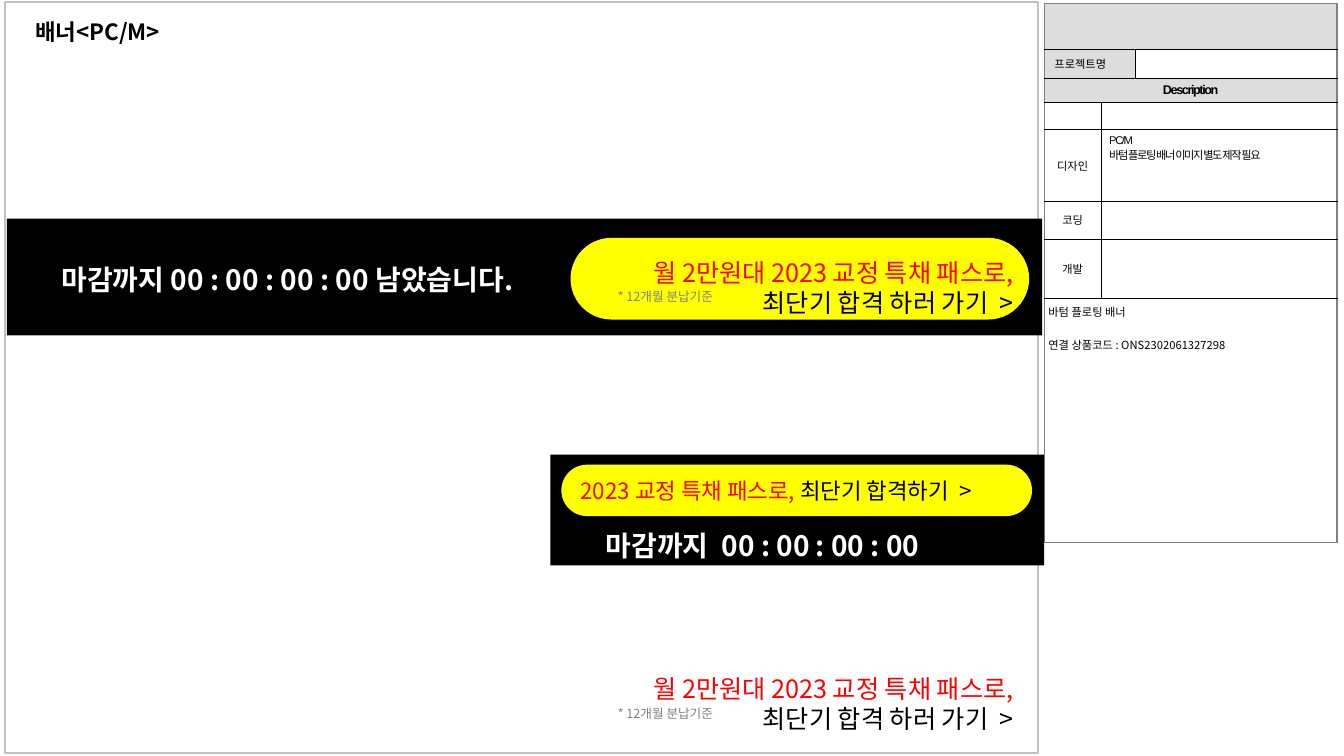
from lxml.etree import SubElement
from pptx import Presentation
from pptx.dml.color import RGBColor
from pptx.enum.shapes import MSO_SHAPE as SHAPE
from pptx.enum.text import MSO_ANCHOR as ANCHOR, MSO_AUTO_SIZE as AUTO, PP_ALIGN as ALIGN
from pptx.oxml.ns import qn
from pptx.util import Pt

COLORS = {
    "black": "000000", "white": "FFFFFF", "yellow": "FFFF00", "red": "FF0000",
    "gray": "808080", "frame": "C0C0C0", "header": "DDDDDD",
}
NOTO = "Noto Sans CJK KR"
COL_WIDTHS = [40.5, 24.5, 144]
ROW_HEIGHTS = [33, 20.5, 17.2, 19.3, 51.5, 27, 42.2, 174.6]


def rgb(name):
    return RGBColor.from_string(COLORS[name])


def add_run(p, text, size=8, color="black", bold=False, font=NOTO, spacing=0):
    r = p.add_run()
    r.text = text
    r.font.size, r.font.bold, r.font.name = Pt(size), bold, font
    r.font.color.rgb = rgb(color)
    rPr = r.font._element
    SubElement(rPr, qn("a:ea")).set("typeface", NOTO)
    if spacing:
        rPr.set("spc", str(spacing * 100))


def write(tf, lines, align=ALIGN.LEFT, gap=0, **fmt):
    """Each line is a string or a list of (text, color) runs."""
    for i, line in enumerate(lines):
        p = tf.paragraphs[0] if i == 0 else tf.add_paragraph()
        p.alignment = align
        if i and gap:
            p.space_before = Pt(gap)
        runs = [(line, fmt.get("color", "black"))] if isinstance(line, str) else line
        for text, color in runs:
            add_run(p, text, **{**fmt, "color": color})


def add_text(s, box, lines, wrap=False, **fmt):
    tf = s.shapes.add_textbox(*map(Pt, box)).text_frame
    tf.word_wrap = wrap
    tf.auto_size = AUTO.SHAPE_TO_FIT_TEXT
    write(tf, lines, **fmt)


def add_block(s, box, fill=None, line=None, kind=SHAPE.RECTANGLE):
    sp = s.shapes.add_shape(kind, *map(Pt, box))
    sp.shadow.inherit = False
    if kind == SHAPE.ROUNDED_RECTANGLE:
        sp.adjustments[0] = 0.5
    if fill:
        sp.fill.solid()
        sp.fill.fore_color.rgb = rgb(fill)
    else:
        sp.fill.background()
    if line:
        sp.line.color.rgb = rgb(line)
        sp.line.width = Pt(1)
    else:
        sp.line.fill.background()


def add_offer(s, top):
    add_text(s, (425.5, top, 309.6, 51.1),
             [[("월 2만원대 2023 교정 특채 패스로, ", "red")], "최단기 합격 하러 가기  > "],
             size=18, align=ALIGN.RIGHT)
    add_text(s, (434.2, top + 23, 89.3, 18), ["* 12개월 분납기준"], size=9, color="gray")


def set_borders(cell, outer):
    """Gray 1 pt on the outer edges of the table, thin black inside."""
    tcPr = cell._tc.get_or_add_tcPr()
    for i, side in enumerate("LRTB"):
        color, width = ("gray", 1) if side in outer else ("black", 0.25)
        ln = SubElement(tcPr, qn("a:ln" + side))
        ln.set("w", str(Pt(width)))
        SubElement(SubElement(ln, qn("a:solidFill")), qn("a:srgbClr")).set("val", COLORS[color])
        tcPr.insert(i, ln)


def fill_cell(table, row, first, last, lines=(), fill="white", middle=True, side=2.9, **fmt):
    cell = table.cell(row, first)
    if last > first:
        cell.merge(table.cell(row, last))
    edges = {"L": first == 0, "R": last == len(COL_WIDTHS) - 1,
             "T": row == 0, "B": row == len(ROW_HEIGHTS) - 1}
    outer = [edge for edge, on in edges.items() if on]
    for col in range(first, last + 1):
        part = table.cell(row, col)
        part.fill.solid()
        part.fill.fore_color.rgb = rgb(fill)
        set_borders(part, outer)
        part.margin_left = part.margin_right = Pt(side)
        part.margin_top = part.margin_bottom = Pt(2 if middle else 3.6)
        if col > first or not lines:
            end = SubElement(part.text_frame.paragraphs[0]._p, qn("a:endParaRPr"))
            end.set("sz", "800")
    cell.vertical_anchor = ANCHOR.MIDDLE if middle else ANCHOR.TOP
    write(cell.text_frame, lines, **fmt)


def add_spec_table(s):
    frame = s.shapes.add_table(len(ROW_HEIGHTS), len(COL_WIDTHS), Pt(746), Pt(2.2),
                               Pt(sum(COL_WIDTHS)), Pt(sum(ROW_HEIGHTS)))
    table = frame.table
    table.first_row = table.horz_banding = False
    for column, width in zip(table.columns, COL_WIDTHS):
        column.width = Pt(width)
    for row, height in zip(table.rows, ROW_HEIGHTS):
        row.height = Pt(height)

    # Header rows
    fill_cell(table, 0, 0, 2, fill="header")
    fill_cell(table, 1, 0, 1, ["프로젝트명"], fill="header", side=7.2)
    fill_cell(table, 1, 2, 2)
    fill_cell(table, 2, 0, 2, ["Description"], fill="header", align=ALIGN.CENTER,
              size=9, bold=True, font="Arial", spacing=-1)

    # Work rows: label and notes
    design = ["PC/M", "바텀 플로팅 배너 이미지 별도 제작 필요"]
    work = [([], []), (["디자인"], design), (["코딩"], []), (["개발"], [])]
    for row, (label, notes) in enumerate(work, 3):
        fill_cell(table, row, 0, 0, label, align=ALIGN.CENTER)
        fill_cell(table, row, 1, 2, notes, middle=False, side=5.8, font="Arial", spacing=-1)

    # Remarks
    fill_cell(table, 7, 0, 2, ["바텀 플로팅 배너", "연결 상품코드 : ONS2302061327298"],
              middle=False, gap=12)


def main():
    prs = Presentation()
    prs.slide_width, prs.slide_height = Pt(960), Pt(540)
    s = prs.slides.add_slide(prs.slide_layouts[5])

    # Page frame, title and specification
    add_block(s, (3.6, 1.4, 738, 536.4), line="frame")
    title = s.shapes.title
    title.left, title.top, title.width, title.height = map(Pt, (18, 9.4, 182.9, 26.6))
    tf = title.text_frame
    tf.vertical_anchor, tf.auto_size = ANCHOR.TOP, AUTO.NONE
    write(tf, ["배너<PC/M>"], size=16, bold=True)
    add_spec_table(s)

    # Mobile banner
    add_block(s, (393.1, 324.7, 352.8, 79.2), "black")
    add_text(s, (425.5, 373.7, 269.3, 31.7), ["마감까지  00 : 00 : 00 : 00"],
             size=20, color="white", bold=True)
    add_block(s, (401, 331.9, 336.2, 36.7), "yellow", kind=SHAPE.ROUNDED_RECTANGLE)
    add_text(s, (407.5, 337, 344.2, 26.6),
             [[("2023 교정 특채 패스로, ", "red"), ("최단기 합격하기  >", "black")]],
             wrap=True, size=16)

    # PC banner
    add_block(s, (5, 156.2, 739.4, 83.5), "black")
    add_text(s, (36.7, 184.3, 378.7, 31.7), ["마감까지 00 : 00 : 00 : 00 남았습니다."],
             size=20, color="white", bold=True)
    add_block(s, (407.5, 169.9, 327.6, 58.3), "yellow", kind=SHAPE.ROUNDED_RECTANGLE)

    # Offer text, on the PC banner and on its own
    for top in (180, 477.4):
        add_offer(s, top)

    prs.save("out.pptx")


if __name__ == "__main__":
    main()
